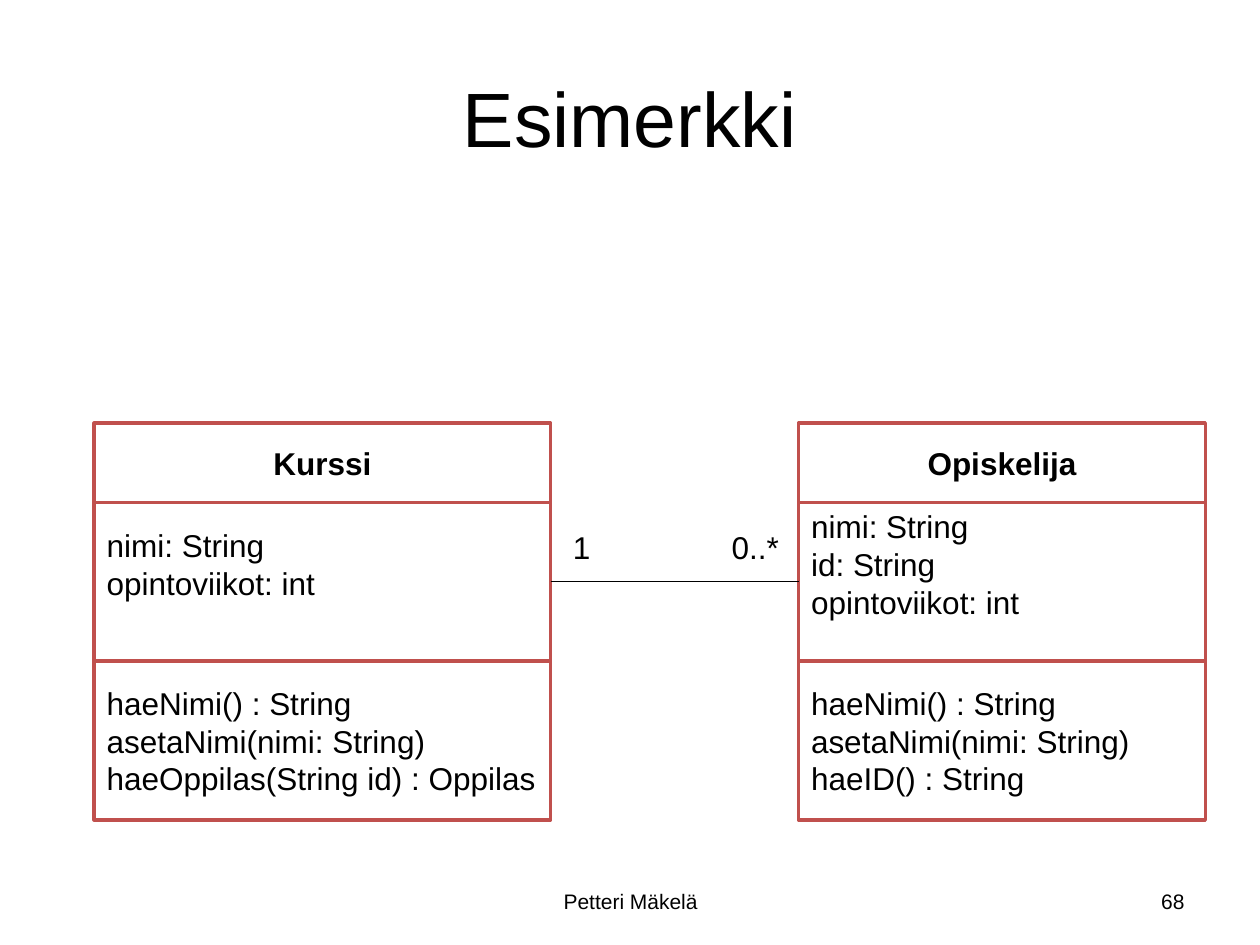
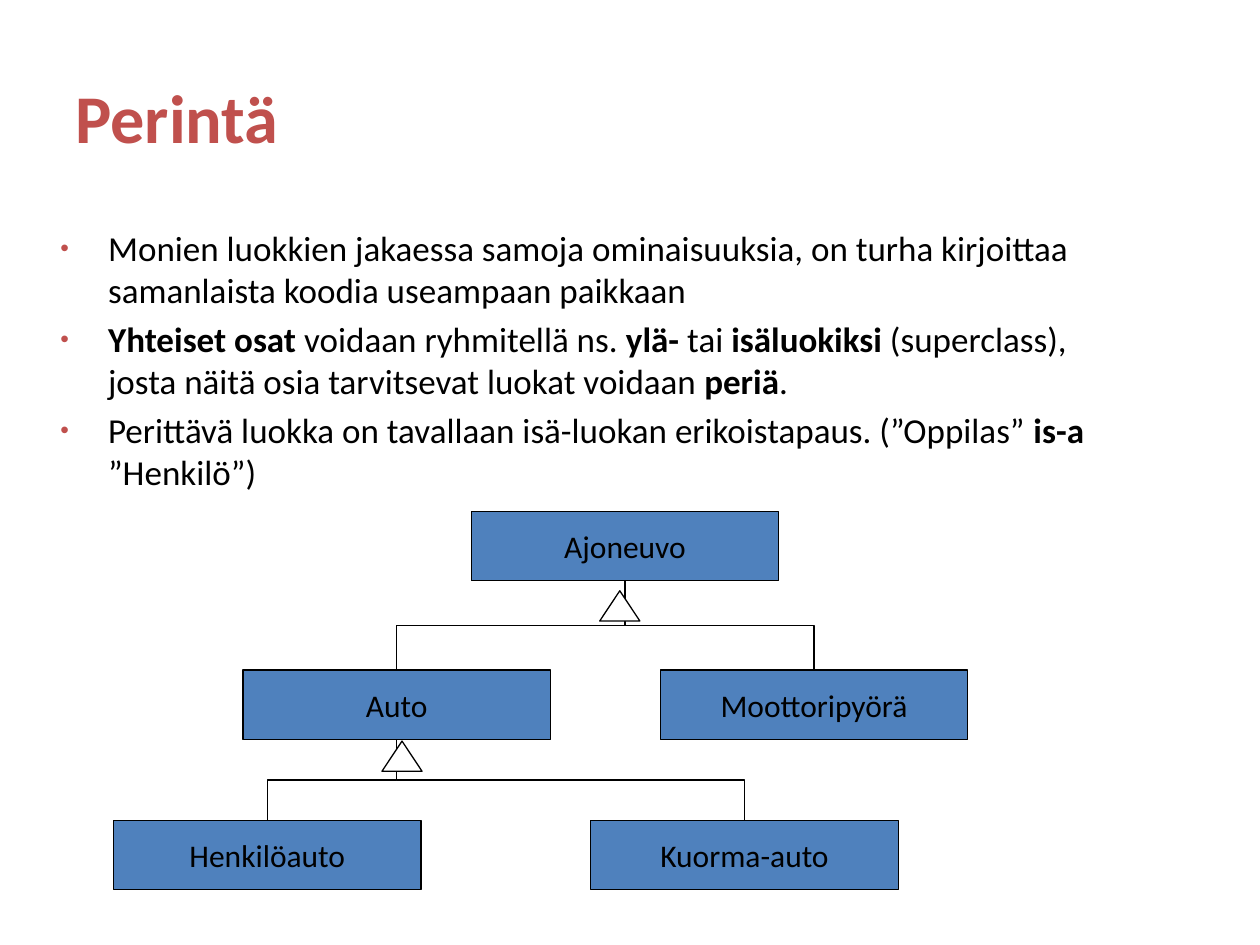
from lxml import etree
from pptx import Presentation, util as u
from pptx.dml.color import RGBColor
from pptx.enum import shapes, text
from pptx.oxml import ns

BLACK, WHITE, RED, BLUE = "000000", "FFFFFF", "C0504D", "4F81BD"
LEFT, CENTER, RIGHT = text.PP_ALIGN.LEFT, text.PP_ALIGN.CENTER, text.PP_ALIGN.RIGHT
TOP, MIDDLE = text.MSO_ANCHOR.TOP, text.MSO_ANCHOR.MIDDLE
TITLE_AREA = (1.27, 0.76, 22.86, 3.18)
HEADER_HEIGHT, SECTION_HEIGHT = 1.6, 3.2
NODE_WIDTH, NODE_HEIGHT = 6.2, 1.4

BULLETS = [
    "Monien luokkien jakaessa samoja ominaisuuksia, on turha kirjoittaa "
    "samanlaista koodia useampaan paikkaan",
    "**Yhteiset osat** voidaan ryhmitellä ns. **ylä-** tai **isäluokiksi** (superclass), "
    "josta näitä osia tarvitsevat luokat voidaan **periä**.",
    "Perittävä luokka on tavallaan isä-luokan erikoistapaus. (”Oppilas” **is-a** ”Henkilö”)",
]
NODES = {
    "Ajoneuvo": (9.5, 10.31),
    "Auto": (4.9, 13.51),
    "Moottoripyörä": (13.31, 13.51),
    "Henkilöauto": (2.29, 16.54),
    "Kuorma-auto": (11.91, 16.54),
}
PARENTS = {
    "Henkilöauto": "Auto",
    "Kuorma-auto": "Auto",
    "Auto": "Ajoneuvo",
    "Moottoripyörä": "Ajoneuvo",
}


def color(value):
    """Turn a hex string into a colour."""
    return RGBColor.from_string(value)


def lengths(values):
    """Turn centimetres into slide lengths."""
    return [u.Cm(value) for value in values]


def write(box, lines, font="Arial", size=18, ink=BLACK, bold=None, align=LEFT,
          anchor=MIDDLE, wrap=True):
    """Fill a box with paragraphs, where ** switches bold on and off."""
    frame = box.text_frame
    frame.word_wrap = wrap
    frame.vertical_anchor = anchor
    for number, line in enumerate(lines):
        para = frame.add_paragraph() if number else frame.paragraphs[0]
        para.alignment = align
        para.font.name, para.font.size = font, u.Pt(size)
        para.font.bold, para.font.color.rgb = bold, color(ink)
        for index, part in enumerate(line.split("**")):
            span = para.add_run()
            span.text = part
            if index % 2:
                span.font.bold = True
    return frame


def add_text(page, area, lines, **style):
    """Place a text box and return its text frame."""
    return write(page.shapes.add_textbox(*lengths(area)), lines, **style)


def add_figure(page, kind, area, fill, line, weight):
    """Place a filled and outlined preset shape."""
    figure = page.shapes.add_shape(kind, *lengths(area))
    figure.shadow.inherit = False
    figure.fill.solid()
    figure.fill.fore_color.rgb = color(fill)
    figure.line.color.rgb = color(line)
    figure.line.width = u.Pt(weight)
    return figure


def add_line(page, kind, start, end):
    """Draw a thin black connector."""
    line = page.shapes.add_connector(kind, *lengths((*start, *end)))
    line.line.color.rgb = color(BLACK)
    line.line.width = u.Pt(0.75)
    etree.SubElement(line._element.spPr, ns.qn("a:effectLst"))
    return line


def add_class(page, left, top, width, name, attributes, methods):
    """Draw a class box with a name, attributes and methods."""
    sections = [
        ([name], HEADER_HEIGHT, {"align": CENTER, "bold": True}, 0),
        (attributes, SECTION_HEIGHT, {}, 0.73),
        (methods, SECTION_HEIGHT, {}, 0),
    ]
    for lines, height, style, space_below in sections:
        box = add_figure(page, shapes.MSO_SHAPE.RECTANGLE, (left, top, width, height),
                         WHITE, RED, 2)
        frame = write(box, lines, wrap=False, **style)
        frame.margin_bottom = u.Cm(0.13 + space_below)
        top += height


def add_bullets(page, area, lines):
    """Place a list with small red bullets."""
    frame = add_text(page, area, lines, font="Calibri", size=20, anchor=TOP)
    for para in frame.paragraphs:
        para.level = 1
        para.space_before = u.Pt(4)
        props = para._p.get_or_add_pPr()
        props.set("marL", str(u.Cm(1.93)))
        props.set("indent", str(u.Cm(-0.96)))
        tint = etree.Element(ns.qn("a:buClr"))
        etree.SubElement(tint, ns.qn("a:srgbClr"), val=RED)
        marks = [
            tint,
            etree.Element(ns.qn("a:buSzPct"), val="70000"),
            etree.Element(ns.qn("a:buFont"), typeface="Arial"),
            etree.Element(ns.qn("a:buChar"), char="•"),
        ]
        position = list(props).index(props.find(ns.qn("a:defRPr")))
        props[position:position] = marks


def add_inheritance(page, child, parent):
    """Join the top of a child to the bottom of its parent with an upright elbow."""
    x1, y1 = NODES[child][0] + NODE_WIDTH / 2, NODES[child][1]
    x2, y2 = NODES[parent][0] + NODE_WIDTH / 2, NODES[parent][1] + NODE_HEIGHT
    side = 1 if x2 > x1 else -1
    middle_x, middle_y = (x1 + x2) / 2, (y1 + y2) / 2
    half_run, half_rise = abs(x2 - x1) / 2, (y1 - y2) / 2
    elbow = add_line(page, shapes.MSO_CONNECTOR.ELBOW,
                     (middle_x - side * half_rise, middle_y - half_run),
                     (middle_x + side * half_rise, middle_y + half_run))
    angle = 270 if side > 0 else 90
    elbow._element.spPr.find(ns.qn("a:xfrm")).set("rot", str(angle * 60000))


def build_association(page):
    """Show two associated classes."""
    add_text(page, (8.69, 17.65, 8.05, 1.02), ["Petteri Mäkelä"], size=12, align=CENTER)
    add_text(page, (18.21, 17.65, 5.92, 1.02), ["68"], size=12, align=RIGHT)
    add_text(page, TITLE_AREA, ["Esimerkki"], size=44, align=CENTER)
    top, course_left, course_width, student_left = 8.53, 1.9, 9.2, 16.1
    add_class(page, course_left, top, course_width, "Kurssi",
              ["nimi: String", "opintoviikot: int"],
              ["haeNimi() : String", "asetaNimi(nimi: String)",
               "haeOppilas(String id) : Oppilas"])
    add_class(page, student_left, top, 8.2, "Opiskelija",
              ["nimi: String", "id: String", "opintoviikot: int"],
              ["haeNimi() : String", "asetaNimi(nimi: String)", "haeID() : String"])
    middle = top + HEADER_HEIGHT + SECTION_HEIGHT / 2
    add_line(page, shapes.MSO_CONNECTOR.STRAIGHT,
             (course_left + course_width, middle), (student_left, middle))
    for label, left, width in [("1", 11.3, 0.86), ("0..*", 14.5, 1.47)]:
        add_text(page, (left, 10.52, width, 1.02), [label], anchor=TOP, wrap=False)


def build_inheritance(page):
    """Explain inheritance with a list and a class tree."""
    add_text(page, TITLE_AREA, ["Perintä"], font="Calibri", size=39, ink=RED, bold=True)
    add_bullets(page, (0, 4.45, 22.86, 12.57), BULLETS)
    for name, corner in NODES.items():
        node = add_figure(page, shapes.MSO_SHAPE.RECTANGLE,
                          (*corner, NODE_WIDTH, NODE_HEIGHT), BLUE, BLACK, 0.75)
        write(node, [name], font="Calibri", align=CENTER, wrap=False)
    for child, parent in PARENTS.items():
        add_inheritance(page, child, parent)
    for left, top in [(12.09, 11.91), (7.7, 14.94)]:
        add_figure(page, shapes.MSO_SHAPE.ISOSCELES_TRIANGLE, (left, top, 0.81, 0.61),
                   WHITE, BLACK, 0.75)


def main():
    """Build and save the deck."""
    deck = Presentation()
    deck.slide_width, deck.slide_height = lengths((25.4, 19.05))
    for build in (build_association, build_inheritance):
        build(deck.slides.add_slide(deck.slide_layouts[6]))
    deck.save("out.pptx")


if __name__ == "__main__":
    main()
